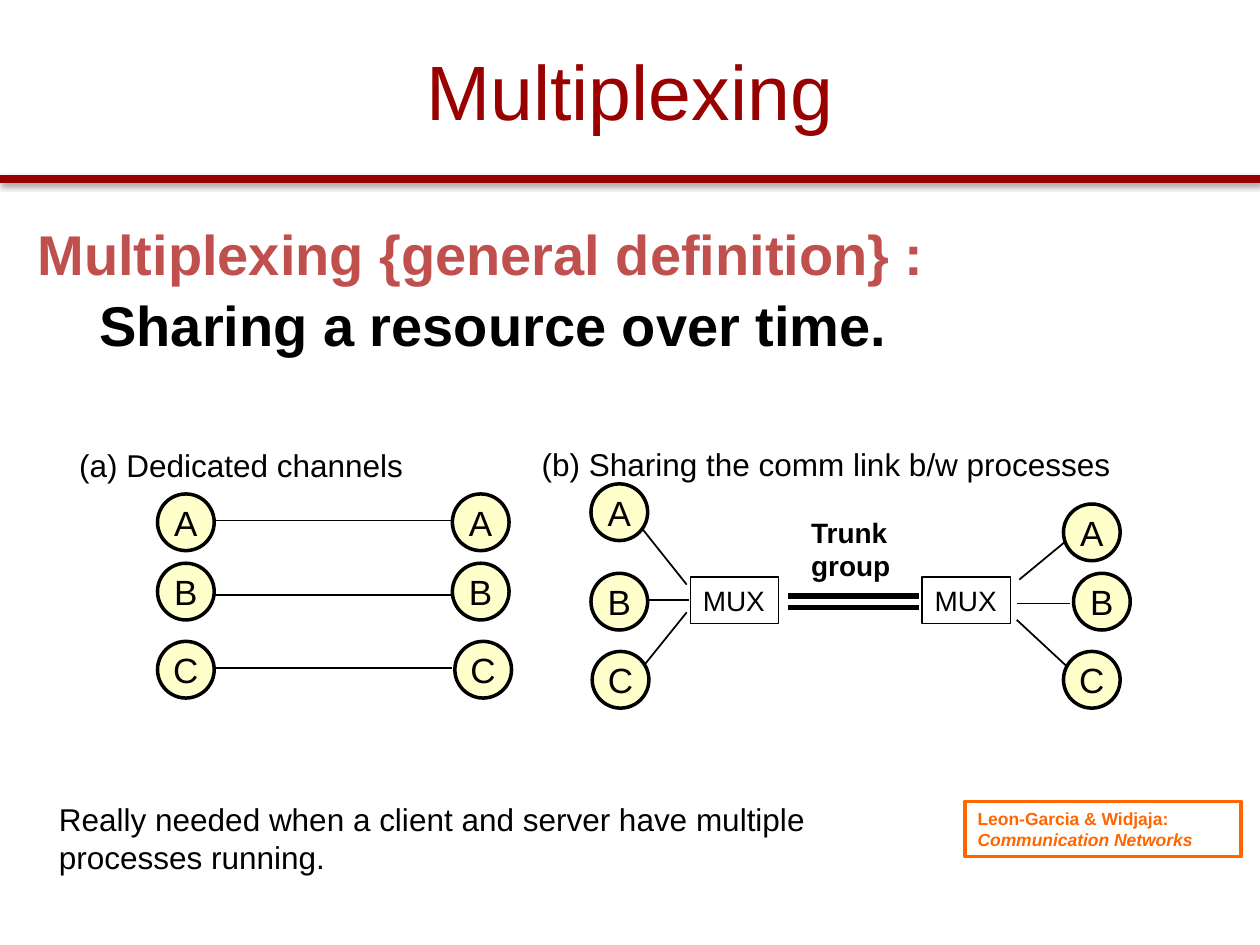
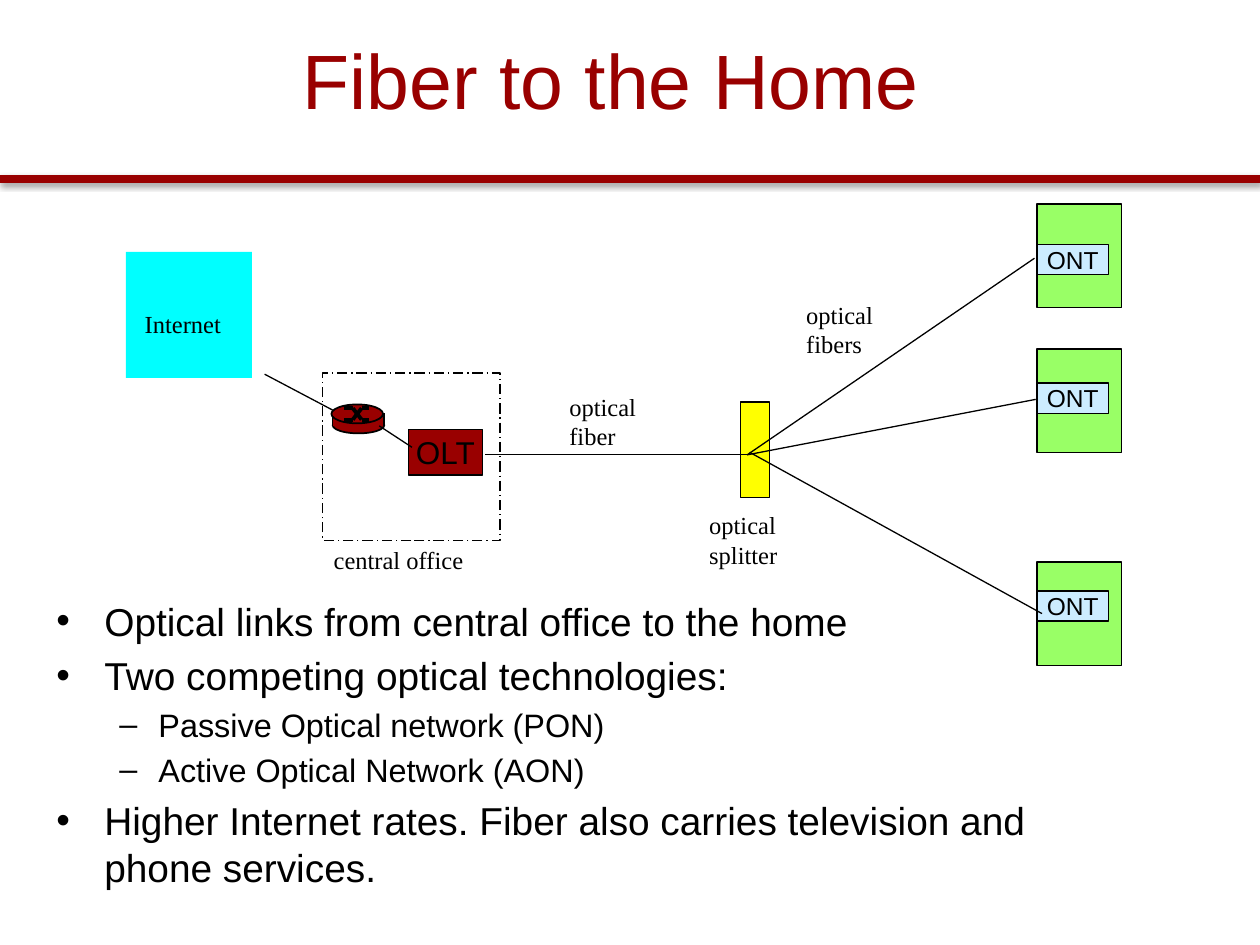
from dataclasses import dataclass

from lxml import etree
from pptx import Presentation
from pptx.dml.color import RGBColor
from pptx.enum.dml import MSO_LINE
from pptx.enum.shapes import MSO_CONNECTOR, MSO_SHAPE
from pptx.enum.text import MSO_ANCHOR, MSO_AUTO_SIZE, PP_ALIGN
from pptx.oxml.ns import qn
from pptx.util import Inches, Pt

RECT, OVAL = MSO_SHAPE.RECTANGLE, MSO_SHAPE.OVAL
STRAIGHT = MSO_CONNECTOR.STRAIGHT
LEFT, CENTER = PP_ALIGN.LEFT, PP_ALIGN.CENTER
TOP, MIDDLE = MSO_ANCHOR.TOP, MSO_ANCHOR.MIDDLE
DASH_DOT = MSO_LINE.LONG_DASH_DOT
TITLE_ONLY = 5


@dataclass(frozen=True)
class Theme:
    sans: str = "Arial"
    serif: str = "Times New Roman"
    black: str = "000000"
    crimson: str = "990000"
    rose: str = "C0504D"
    orange: str = "FF6600"
    cream: str = "FFFFCC"
    yellow: str = "FFFF00"
    green: str = "99FF66"
    sky: str = "CCECFF"
    cyan: str = "00FFFF"
    title: float = 44
    lead: float = 32
    bullet: float = 22.2
    sub_bullet: float = 18.5
    node: float = 20
    text: float = 18
    mux: float = 16
    label: float = 14
    credit: float = 10


T = Theme()

# ---- Multiplexing ----
DEFINITION = [  # text, colour, left indent, first-line indent
    ("Multiplexing {general definition} :", T.rose, 0.25, -0.25),
    ("Sharing a resource over time.", T.black, 0.49, 0),
]
CAPTIONS = [
    ("(a) Dedicated channels", (0.53, 3.49, 2.79, 0.4)),
    ("(b) Sharing the comm link b/w processes", (4.2, 3.48, 4.72, 0.4)),
]
NODE_SIZE = 0.45
NODE_COLUMNS = [  # (left, top) of A, B and C
    [(1.25, 3.92), (1.25, 4.47), (1.25, 5.09)],
    [(3.59, 3.92), (3.59, 4.47), (3.61, 5.09)],
    [(4.69, 3.84), (4.69, 4.55), (4.7, 5.17)],
    [(8.44, 4), (8.52, 4.55), (8.44, 5.17)],
]
CHANNELS = [
    (1.7, 4.13, 3.6, 4.13), (1.68, 4.72, 3.6, 4.72), (1.7, 5.3, 3.59, 5.3),
    (5.1, 4.2, 5.45, 4.64), (5.1, 4.76, 5.47, 4.76), (5.08, 5.32, 5.45, 4.86),
    (8.09, 4.6, 8.49, 4.27), (8.07, 4.79, 8.49, 4.79), (8.07, 4.92, 8.49, 5.31),
]
MUX_LEFTS = [5.48, 7.32]
TRUNK_YS = [4.73, 4.82]
NEED = "Really needed when a client and server have multiple processes running."

# ---- Fiber to the Home ----
BULLETS = [
    (0, "Optical links from central office to the home"),
    (0, "Two competing optical technologies:"),
    (1, "Passive Optical network (PON)"),
    (1, "Active Optical Network (AON)"),
    (0, "Higher Internet rates. Fiber also carries television and phone services."),
]
LEVELS = [("•", T.bullet, 0.38, -0.38), ("–", T.sub_bullet, 0.81, -0.31)]
FIBER_LABELS = [
    (["Internet"], (1.05, 2.4, 1, 0.33)),
    (["central office"], (2.55, 4.28, 1.47, 0.33)),
    (["optical", "fiber"], (4.42, 3.06, 0.81, 0.57)),
    (["optical", "splitter"], (5.53, 4, 0.89, 0.57)),
    (["optical", "fibers"], (6.3, 2.33, 0.81, 0.57)),
]
HOMES = [(1.62, 1.94), (2.77, 3.04), (4.46, 4.69)]  # top of home, top of ONT
FIBERS = [
    (3.85, 3.61, 5.93, 3.61), (5.93, 3.61, 8.21, 2.05),
    (5.93, 3.61, 8.22, 3.17), (5.95, 3.59, 8.27, 4.87),
    (2.1, 2.97, 2.65, 3.26), (3.01, 3.38, 3.27, 3.55),
]
CLOUD_START = (2.15, 1.87)
CLOUD_CURVES = [  # two control points and an end point each
    ((2.12, 1.73), (2.05, 1.68), (1.94, 1.65)),
    ((1.84, 1.62), (1.65, 1.68), (1.53, 1.71)),
    ((1.4, 1.73), (1.24, 1.74), (1.18, 1.79)),
    ((1.12, 1.84), (1.21, 1.9), (1.17, 2.03)),
    ((1.13, 2.15), (0.99, 2.39), (0.95, 2.55)),
    ((0.9, 2.71), (0.85, 2.88), (0.89, 2.99)),
    ((0.93, 3.1), (1.01, 3.16), (1.17, 3.19)),
    ((1.33, 3.23), (1.69, 3.2), (1.84, 3.18)),
    ((2, 3.16), (2.05, 3.17), (2.1, 3.06)),
    ((2.15, 2.94), (2.11, 2.69), (2.12, 2.5)),
    ((2.13, 2.3), (2.18, 2.01), (2.15, 1.87)),
]


def rgb(color):
    return RGBColor.from_string(color)


def inches(values):
    return [Inches(v) for v in values]


def add_run(p, text, size, color=T.black, font=T.sans, bold=False, italic=False):
    r = p.add_run()
    r.text = text
    f = r.font
    f.size, f.name, f.bold, f.italic = Pt(size), font, bold, italic
    f.color.rgb = rgb(color)


def set_frame(sp, wrap=False, anchor=TOP, grow=False):
    tf = sp.text_frame
    tf.word_wrap, tf.vertical_anchor = wrap, anchor
    tf.auto_size = MSO_AUTO_SIZE.SHAPE_TO_FIT_TEXT if grow else MSO_AUTO_SIZE.NONE
    return tf


def paragraphs(tf, count):
    return [tf.paragraphs[0]] + [tf.add_paragraph() for _ in range(count - 1)]


def write(tf, lines, size, align=LEFT, **style):
    for p, line in zip(paragraphs(tf, len(lines)), lines):
        p.alignment = align
        add_run(p, line, size, **style)


def set_indent(p, left, first):
    pPr = p._p.get_or_add_pPr()
    pPr.set("marL", str(Inches(left)))
    pPr.set("indent", str(Inches(first)))
    return pPr


def add_label(slide, lines, at, size, wrap=False, **style):
    sp = slide.shapes.add_textbox(*inches(at))
    write(set_frame(sp, wrap, grow=True), lines, size, **style)


def paint(sp, fill, line, width):
    sp.shadow.inherit = False
    if fill:
        sp.fill.solid()
        sp.fill.fore_color.rgb = rgb(fill)
    else:
        sp.fill.background()
    if line:
        sp.line.color.rgb = rgb(line)
        sp.line.width = Pt(width)
    else:
        sp.line.fill.background()


def add_box(slide, kind, at, fill=None, line=T.black, width=0.75):
    sp = slide.shapes.add_shape(kind, *inches(at))
    paint(sp, fill, line, width)
    return sp


def add_node(slide, kind, at, text, size, fill, width=0.75):
    sp = add_box(slide, kind, at, fill, width=width)
    write(set_frame(sp, anchor=MIDDLE), [text], size, align=CENTER)


def add_line(slide, ends, width, color=T.black):
    """Draw a straight line and return its empty effect list."""
    cx = slide.shapes.add_connector(STRAIGHT, *inches(ends))
    cx.line.color.rgb = rgb(color)
    cx.line.width = Pt(width)
    return etree.SubElement(cx._element.spPr, qn("a:effectLst"))


def add_titled_slide(prs, title, at):
    slide = prs.slides.add_slide(prs.slide_layouts[TITLE_ONLY])
    sp = slide.shapes.title
    sp.left, sp.top, sp.width, sp.height = inches(at)
    write(set_frame(sp, True, MIDDLE), [title], T.title, align=CENTER, color=T.crimson)

    effects = add_line(slide, (0, 1.42, 10, 1.42), 5, T.crimson)
    shadow = etree.SubElement(effects, qn("a:outerShdw"), blurRad=str(Pt(3.1)),
                              dist=str(Pt(1.6)), dir="5400000", rotWithShape="0")
    color = etree.SubElement(shadow, qn("a:srgbClr"), val=T.black)
    etree.SubElement(color, qn("a:alpha"), val="38000")
    return slide


def build_multiplexing(prs):
    slide = add_titled_slide(prs, "Multiplexing", (0.5, 0.09, 9, 1.25))

    for ends in CHANNELS:
        add_line(slide, ends, 1)
    for y in TRUNK_YS:
        add_line(slide, (6.25, y, 7.29, y), 3)
    for x in MUX_LEFTS:
        sp = add_box(slide, RECT, (x, 4.58, 0.7, 0.37), width=1)
        write(set_frame(sp, grow=True), ["MUX"], T.mux)
    for column in NODE_COLUMNS:
        for name, (x, y) in zip("ABC", column):
            add_node(slide, OVAL, (x, y, NODE_SIZE, NODE_SIZE), name, T.node, T.cream, 2)

    for text, at in CAPTIONS:
        add_label(slide, [text], at, T.text)
    add_label(slide, ["Trunk", "group"], (6.34, 4.04, 0.84, 0.64), T.mux, bold=True)
    add_label(slide, [NEED], (0.37, 6.3, 7.04, 0.71), T.text, wrap=True)

    credit = add_box(slide, RECT, (7.66, 6.36, 2.19, 0.44), line=T.orange, width=2)
    author, book = paragraphs(set_frame(credit, True, MIDDLE, grow=True), 2)
    author.alignment = book.alignment = LEFT
    add_run(author, "Leon-Garcia & Widjaja:", T.credit, T.orange, bold=True)
    add_run(book, "Communication Networks", T.credit, T.orange, bold=True, italic=True)

    tf = set_frame(slide.shapes.add_textbox(*inches((0.2, 1.75, 9.61, 1.41))), True)
    for p, (text, color, left, first) in zip(paragraphs(tf, len(DEFINITION)), DEFINITION):
        set_indent(p, left, first)
        p.line_spacing, p.space_before = 0.9, Pt(0.2 * T.lead)
        add_run(p, text, T.lead, color, bold=True)


def curve_points(start, curves, steps=10):
    """Points along a chain of cubic Bezier curves."""
    for c1, c2, end in curves:
        for i in range(1, steps + 1):
            t = i / steps
            u = 1 - t
            yield tuple(u**3 * a + 3 * u * u * t * b + 3 * u * t * t * c + t**3 * d
                        for a, b, c, d in zip(start, c1, c2, end))
        start = end


def add_router(slide):
    add_box(slide, OVAL, (2.64, 3.31, 0.41, 0.13), T.crimson, width=1)
    add_box(slide, RECT, (2.64, 3.3, 0.4, 0.08), T.crimson, line=None)
    for x in (2.64, 3.05):
        add_line(slide, (x, 3.28, x, 3.38), 1)
    add_box(slide, OVAL, (2.63, 3.21, 0.41, 0.15), T.crimson, width=1)
    xs, high, low = (2.73, 2.8, 2.87, 2.93), 3.24, 3.33
    for y1, y2 in ((high, low), (low, high)):
        ys = (y1, y1, y2, y2)
        for i in range(3):
            add_line(slide, (xs[i], ys[i], xs[i + 1], ys[i + 1]), 2.25)


def build_fiber(prs):
    slide = add_titled_slide(prs, "Fiber to the Home", (0.6, 0, 8.5, 1.25))

    fb = slide.shapes.build_freeform(*CLOUD_START, scale=Inches(1))
    fb.add_line_segments(list(curve_points(CLOUD_START, CLOUD_CURVES)))
    paint(fb.convert_to_shape(), T.cyan, None, 0)

    add_box(slide, RECT, (5.88, 3.19, 0.23, 0.76), T.yellow)
    office = add_box(slide, RECT, (2.56, 2.96, 1.41, 1.33))
    office.line.dash_style = DASH_DOT
    add_node(slide, RECT, (3.24, 3.41, 0.59, 0.36), "OLT", T.text, T.crimson)
    for home_top, ont_top in HOMES:
        add_box(slide, RECT, (8.23, home_top, 0.67, 0.82), T.green)
        add_node(slide, RECT, (8.23, ont_top, 0.57, 0.24), "ONT", T.label, T.sky)
    add_router(slide)
    for ends in FIBERS:
        add_line(slide, ends, 0.75)
    for lines, at in FIBER_LABELS:
        add_label(slide, lines, at, T.label, font=T.serif)

    tf = set_frame(slide.shapes.add_textbox(*inches((0.35, 4.69, 8.5, 2.28))), True)
    for p, (level, text) in zip(paragraphs(tf, len(BULLETS)), BULLETS):
        mark, size, left, first = LEVELS[level]
        p.level, p.space_before = level, Pt(0.2 * size)
        pPr = set_indent(p, left, first)
        etree.SubElement(pPr, qn("a:buFont"), typeface=T.sans)
        etree.SubElement(pPr, qn("a:buChar"), char=mark)
        add_run(p, text, size)


def main():
    prs = Presentation()
    prs.slide_width, prs.slide_height = Inches(10), Inches(7.5)
    build_multiplexing(prs)
    build_fiber(prs)
    prs.save("out.pptx")


if __name__ == "__main__":
    main()
